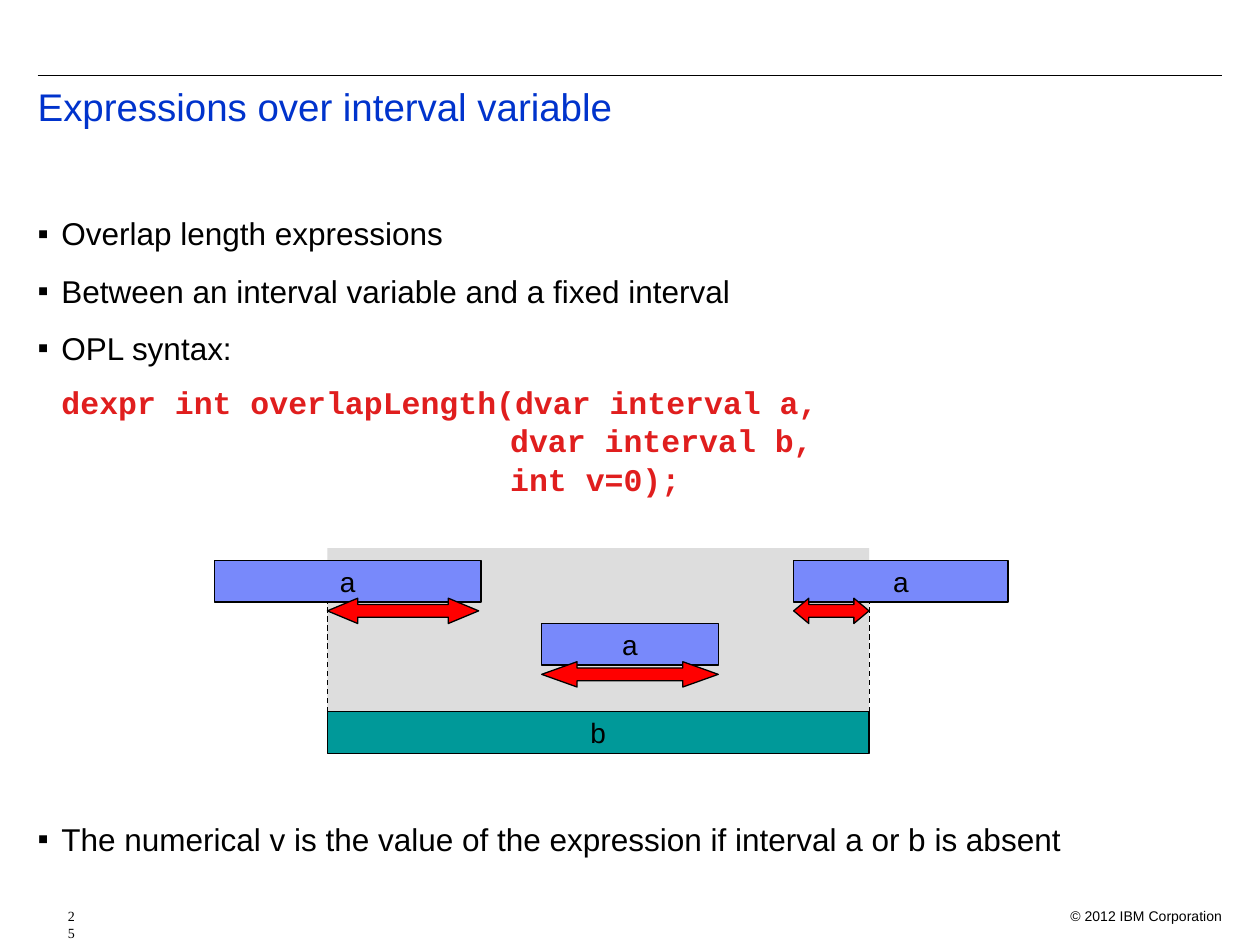
from lxml import etree
from pptx import Presentation
from pptx.dml.color import RGBColor
from pptx.enum.dml import MSO_LINE
from pptx.enum.shapes import MSO_CONNECTOR, MSO_SHAPE
from pptx.enum.text import MSO_ANCHOR, PP_ALIGN
from pptx.oxml.ns import qn
from pptx.util import Cm, Pt

RECTANGLE = MSO_SHAPE.RECTANGLE
DOUBLE_ARROW = MSO_SHAPE.LEFT_RIGHT_ARROW
STRAIGHT = MSO_CONNECTOR.STRAIGHT
DASH = MSO_LINE.DASH
TOP, MIDDLE = MSO_ANCHOR.TOP, MSO_ANCHOR.MIDDLE
LEFT, RIGHT, CENTER = PP_ALIGN.LEFT, PP_ALIGN.RIGHT, PP_ALIGN.CENTER

BLACK, BLUE, CODE_RED = "000000", "0033CC", "E01E1E"
GRAY, PERIWINKLE, TEAL, RED = "DDDDDD", "7889FB", "009999", "FF0000"

# Content; positions are in grid units of 2.54 cm
TITLE = "Expressions over interval variable"
BULLETS = [
    "Overlap length expressions",
    "Between an interval variable and a fixed interval",
    "OPL syntax:",
]
CODE = [
    "dexpr int overlapLength(dvar interval a,",
    "                         dvar interval b,",
    "                         int v=0);",
]
CONCLUSION = "The numerical v is the value of the expression if interval a or b is absent"
COPYRIGHT = "© 2012 IBM Corporation"
PAGE_NUMBER = "25"

BAR_HEIGHT = 0.33
B_START, B_END, B_TOP = 2.6, 6.9, 5.65
WINDOW_TOP = 4.35
A_INTERVALS = [(1.7, 3.82, 4.45), (4.3, 5.7, 4.95), (6.3, 8.0, 4.45)]  # start, end, top
DASHED_EDGES = [(B_START, 4.75), (B_END, 4.55)]  # position, top
HANG = 0.19


def grid(value):
    return Cm(round(value * 2.54, 2))


def color(value):
    return RGBColor.from_string(value)


def write(frame, text, first=False, size=18, font="Arial", fill=BLACK, bold=False,
          align=LEFT, before=0, spacing=1.0, margin=0, indent=0, bullet=None):
    para = frame.paragraphs[0] if first else frame.add_paragraph()
    para.alignment = align
    para.space_before = Pt(before)
    para.line_spacing = spacing
    properties = para._p.get_or_add_pPr()
    properties.set("marL", str(grid(margin)))
    properties.set("indent", str(grid(indent)))
    if bullet:
        bullet_color = etree.SubElement(properties, qn("a:buClr"))
        etree.SubElement(bullet_color, qn("a:srgbClr"), val=fill)
        etree.SubElement(properties, qn("a:buFont"), typeface=font)
        etree.SubElement(properties, qn("a:buChar"), char=bullet)
    else:
        etree.SubElement(properties, qn("a:buNone"))
    span = para.add_run()
    span.text = text
    span.font.size, span.font.name, span.font.bold = Pt(size), font, bold
    span.font.color.rgb = color(fill)


def set_frame(frame, wrap, anchor):
    frame.word_wrap = wrap
    frame.vertical_anchor = anchor
    frame.margin_left = frame.margin_right = grid(0.1)
    frame.margin_top = frame.margin_bottom = grid(0.05)


def add_text_box(page, left, top, width, height):
    frame = page.shapes.add_textbox(*map(grid, (left, top, width, height))).text_frame
    set_frame(frame, True, TOP)
    return frame


def add_block(page, kind, start, end, top, height, fill, label=None, outlined=True):
    block = page.shapes.add_shape(kind, *map(grid, (start, top, end - start, height)))
    block.shadow.inherit = False
    block.fill.solid()
    block.fill.fore_color.rgb = color(fill)
    if outlined:
        block.line.color.rgb = color(BLACK)
        block.line.width = Pt(0.75)
    else:
        block.line.fill.background()
    if label:
        set_frame(block.text_frame, False, MIDDLE)
        write(block.text_frame, label, first=True, size=16, align=CENTER)
    return block


def add_line(page, x1, y1, x2, y2, dash=None):
    line = page.shapes.add_connector(STRAIGHT, *map(grid, (x1, y1, x2, y2)))
    line.line.color.rgb = color(BLACK)
    line.line.width = Pt(0.75)
    if dash:
        line.line.dash_style = dash
    etree.SubElement(line._element.spPr, qn("a:effectLst"))


def add_overlap_arrow(page, start, end, top):
    # The arrow covers the part of the interval that lies inside b
    start, end = max(start, B_START), round(min(end, B_END), 1)
    arrow = add_block(page, DOUBLE_ARROW, start, end, top + 0.3, 0.2, RED)
    arrow.adjustments[0] = 0.5
    arrow.adjustments[1] = round(end - start, 2)  # each head takes a fifth of the width


def main():
    deck = Presentation()
    deck.slide_width, deck.slide_height = grid(10), grid(7.5)
    page = deck.slides.add_slide(deck.slide_layouts[6])

    # Header rule, copyright and title
    add_line(page, 0.3, 0.6, 9.7, 0.6)
    write(add_text_box(page, 8.3, 7.15, 1.5, 0.2), COPYRIGHT, first=True, size=8, align=RIGHT)
    write(add_text_box(page, 0.2, 0.65, 9.5, 0.7), TITLE, first=True, size=22,
          fill=BLUE, spacing=0.9)

    # Body text, with room for the diagram before the conclusion
    body = add_text_box(page, 0.2, 1.65, 9.5, 5.7)
    bulleted = dict(margin=HANG, indent=-HANG, bullet="▪")
    for index, text in enumerate(BULLETS):
        write(body, text, first=index == 0, before=11.2 if index else 0, **bulleted)
    for index, text in enumerate(CODE):
        write(body, text, font="Courier New", fill=CODE_RED, bold=True, spacing=0.5,
              before=11.2 if index else 18.3, margin=0 if index else HANG)
    write(body, CONCLUSION, before=183.6, spacing=1.1, **bulleted)

    # Interval diagram
    add_block(page, RECTANGLE, B_START, B_END, WINDOW_TOP, B_TOP - WINDOW_TOP, GRAY,
              outlined=False)
    for x, top in DASHED_EDGES:
        add_line(page, x, B_TOP, x, top, dash=DASH)
    for start, end, top in A_INTERVALS:
        add_block(page, RECTANGLE, start, end, top, BAR_HEIGHT, PERIWINKLE, label="a")
        add_overlap_arrow(page, start, end, top)
    add_block(page, RECTANGLE, B_START, B_END, B_TOP, BAR_HEIGHT, TEAL, label="b")

    # Page number
    write(add_text_box(page, 0.2, 7.15, 0.4, 0.2), PAGE_NUMBER, first=True, size=8,
          font="Times New Roman", margin=0.24)

    deck.save("out.pptx")


if __name__ == "__main__":
    main()
